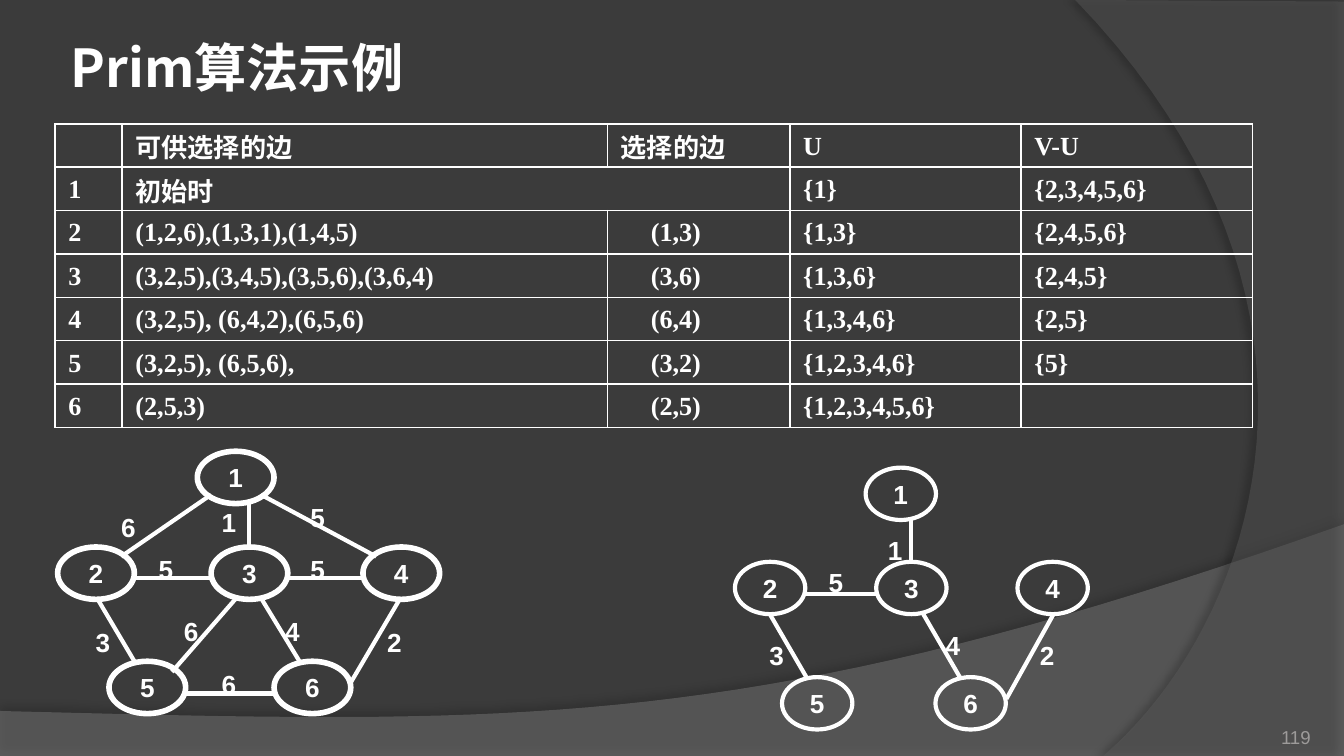
from lxml import etree
from pptx import Presentation
from pptx import util as u
from pptx.dml.color import RGBColor
from pptx.enum import shapes, text
from pptx.oxml.ns import qn

WHITE = RGBColor(0xFF, 0xFF, 0xFF)
CHARCOAL = RGBColor(0x3B, 0x3B, 0x3B)
WAVE_GREY = RGBColor(0x7F, 0x7F, 0x7F)
ARC_GREY = RGBColor(0x5E, 0x5E, 0x5E)
NUMBER_GREY = RGBColor(0x9D, 0x9B, 0x9A)

CJK = "Noto Sans CJK SC"
TITLE = dict(name=CJK, size=u.Pt(28), bold=True)
CELL = dict(name="Times New Roman", size=u.Pt(14), bold=True)
GRAPH = dict(name="Arial", size=u.Pt(14), bold=True)
NUMBER = dict(name="Arial", size=u.Pt(10), bold=False)


def bezier(start, control_1, control_2, end, steps=40):
    """Points along a cubic curve, without its start."""
    for i in range(1, steps + 1):
        t = i / steps
        weights = ((1 - t) ** 3, 3 * t * (1 - t) ** 2, 3 * t * t * (1 - t), t ** 3)
        yield tuple(sum(w * p[axis] for w, p in zip(weights, (start, control_1, control_2, end)))
                    for axis in (0, 1))


class SlideBuilder:
    """Holds the style and the current slide; places are in centimetres."""

    def __init__(self, slide, ink=WHITE):
        self.slide, self.shapes, self.ink = slide, slide.shapes, ink

    def set_text(self, frame, content, style, align=text.PP_ALIGN.LEFT, color=None):
        paragraph = frame.paragraphs[0]
        paragraph.alignment = align
        if not content:
            return
        run = paragraph.add_run()
        run.text = content
        for key, value in style.items():
            setattr(run.font, key, value)
        run.font.color.rgb = color or self.ink
        etree.SubElement(run.font._element, qn("a:ea"), typeface=CJK)

    def frame_format(self, frame, anchor, wrap=True, inset=(0.25, 0.13)):
        side, end = (u.Cm(v) for v in inset)
        layout = dict(word_wrap=wrap, vertical_anchor=anchor, margin_left=side,
                      margin_right=side, margin_top=end, margin_bottom=end)
        for key, value in layout.items():
            setattr(frame, key, value)

    def label(self, box, content, style, align=text.PP_ALIGN.LEFT,
              anchor=text.MSO_ANCHOR.TOP, color=None, inset=(0.25, 0.13)):
        frame = self.shapes.add_textbox(*map(u.Cm, box)).text_frame
        self.frame_format(frame, anchor, inset=inset)
        self.set_text(frame, content, style, align, color)

    def node(self, box, content, width):
        oval = self.shapes.add_shape(shapes.MSO_SHAPE.OVAL, *map(u.Cm, box))
        oval.shadow.inherit = False
        oval.fill.background()
        oval.line.color.rgb, oval.line.width = self.ink, u.Pt(width)
        self.frame_format(oval.text_frame, text.MSO_ANCHOR.MIDDLE, False, (0.13, 0.08))
        self.set_text(oval.text_frame, content, GRAPH, text.PP_ALIGN.CENTER)

    def edge(self, ends):
        line = self.shapes.add_connector(shapes.MSO_CONNECTOR.STRAIGHT, *map(u.Cm, ends))
        line.line.color.rgb, line.line.width = self.ink, u.Pt(2.25)
        etree.SubElement(line._element.spPr, qn("a:effectLst"))

    def backdrop(self, points, color, opacity, shadow):
        start, *rest = [(u.Cm(x), u.Cm(y)) for x, y in points]
        builder = self.shapes.build_freeform(*start)
        builder.add_line_segments(rest, close=True)
        area = builder.convert_to_shape()
        area.fill.solid()
        area.fill.fore_color.rgb = color
        area.line.fill.background()
        area.shadow.inherit = False
        properties = area._element.spPr
        fill = properties.find(qn("a:solidFill")).find(qn("a:srgbClr"))
        etree.SubElement(fill, qn("a:alpha"), val=str(opacity * 1000))
        shade, distance, angle = shadow
        outer = etree.SubElement(properties.find(qn("a:effectLst")), qn("a:outerShdw"),
                                 blurRad=str(int(u.Pt(4))), dist=str(int(u.Pt(distance))),
                                 dir=str(angle * 60000), algn="ctr", rotWithShape="0")
        black = etree.SubElement(outer, qn("a:srgbClr"), val="000000")
        etree.SubElement(black, qn("a:alpha"), val=str(shade * 1000))

    def borders(self, cell):
        properties = cell._tc.get_or_add_tcPr()
        for i, side in enumerate(("lnL", "lnR", "lnT", "lnB")):
            line = etree.Element(qn("a:" + side), w=str(int(u.Pt(1))))
            fill = etree.SubElement(line, qn("a:solidFill"))
            etree.SubElement(fill, qn("a:srgbClr"), val=str(self.ink))
            properties.insert(i, line)

    def table(self, left, top, widths, row_height, rows):
        grid = self.shapes.add_table(len(rows), len(widths), u.Cm(left), u.Cm(top),
                                     u.Cm(sum(widths)), u.Cm(row_height * len(rows))).table
        grid.first_row = grid.horz_banding = False
        for column, width in zip(grid.columns, widths):
            column.width = u.Cm(width)
        for r, row in enumerate(rows):
            grid.rows[r].height = u.Cm(row_height)
            for c, content in enumerate(row):
                cell = grid.cell(r, c)
                indent = 0.82 if c == 2 and r > 1 else 0.25
                layout = dict(margin_left=u.Cm(indent), margin_right=0, margin_top=u.Cm(0.03),
                              margin_bottom=0, vertical_anchor=text.MSO_ANCHOR.MIDDLE)
                for key, value in layout.items():
                    setattr(cell, key, value)
                cell.fill.background()
                self.borders(cell)
                cell.text_frame.paragraphs[0].font.size = CELL["size"]
                self.set_text(cell.text_frame, content, CELL)
        return grid

    def graph(self, nodes, size, outline, edges, label_size, inset):
        for number, place in nodes.items():
            self.node((*place, *size), str(number), outline)
        for _, ends, _ in edges:
            self.edge(ends)
        for weight, _, place in edges:
            self.label((*place, *label_size), str(weight), GRAPH,
                       text.PP_ALIGN.CENTER, inset=inset)


STEPS = [
    ("", "可供选择的边", "选择的边", "U", "V-U"),
    ("1", "初始时", "", "{1}", "{2,3,4,5,6}"),
    ("2", "(1,2,6),(1,3,1),(1,4,5)", "(1,3)", "{1,3}", "{2,4,5,6}"),
    ("3", "(3,2,5),(3,4,5),(3,5,6),(3,6,4)", "(3,6)", "{1,3,6}", "{2,4,5}"),
    ("4", "(3,2,5), (6,4,2),(6,5,6)", "(6,4)", "{1,3,4,6}", "{2,5}"),
    ("5", "(3,2,5), (6,5,6),", "(3,2)", "{1,2,3,4,6}", "{5}"),
    ("6", "(2,5,3)", "(2,5)", "{1,2,3,4,5,6}", ""),
]

# Nodes: number -> left, top. Edges: weight, line ends, label left and top.
FULL_NODES = {1: (3.73, 8.53), 2: (1.09, 10.34), 3: (3.99, 10.34),
              4: (6.86, 10.34), 5: (2.06, 12.5), 6: (5.18, 12.5)}
FULL_EDGES = [
    (6, (2.29, 10.52, 3.99, 9.35), (1.83, 9.53)),
    (1, (4.7, 9.53, 4.7, 10.34), (3.73, 9.45)),
    (5, (7.11, 10.52, 4.93, 9.35), (5.41, 9.35)),
    (5, (2.54, 10.92, 3.99, 10.92), (2.54, 10.34)),
    (5, (5.41, 10.92, 6.86, 10.92), (5.41, 10.34)),
    (3, (1.83, 11.3, 2.54, 12.5), (1.35, 11.71)),
    (6, (3.25, 12.7, 4.47, 11.3), (3.02, 11.51)),
    (4, (4.93, 11.3, 5.66, 12.5), (4.93, 11.51)),
    (2, (6.63, 12.9, 7.57, 11.3), (6.86, 11.71)),
    (6, (3.51, 13.11, 5.18, 13.11), (3.73, 12.5)),
]
TREE_NODES = {1: (16.36, 8.84), 2: (13.89, 10.62), 3: (16.56, 10.62),
              4: (19.23, 10.62), 5: (14.78, 12.8), 6: (17.68, 12.8)}
TREE_EDGES = [
    (1, (17.22, 9.83, 17.22, 10.62), (16.36, 10.03)),
    (5, (15.24, 11.23, 16.56, 11.23), (15.24, 10.62)),
    (3, (14.55, 11.61, 15.24, 12.8), (14.12, 12.01)),
    (4, (17.45, 11.61, 18.14, 12.8), (17.45, 11.81)),
    (2, (19.02, 13.21, 19.91, 11.61), (19.23, 12.01)),
]


def main():
    deck = Presentation()
    deck.slide_width, deck.slide_height = u.Cm(25.4), u.Cm(14.29)
    page = SlideBuilder(deck.slides.add_slide(deck.slide_layouts[6]))

    # Background with wave and arc
    page.slide.background.fill.solid()
    page.slide.background.fill.fore_color.rgb = CHARCOAL
    wave = [(0, 13.44), (0, 14.29), (25.4, 14.29), (25.4, 9.91)]
    wave += bezier(wave[-1], (14.2, 13.89), (9.93, 13.69), wave[0])
    page.backdrop(wave, WAVE_GREY, 45, (35, 3.5, 270))
    arc = [(25.4, 0.03), (25.4, 14.29), (20.85, 14.29)]
    arc += bezier(arc[-1], (23.75, 11.79), (25.86, 5.72), (20.32, 0))
    page.backdrop(arc, ARC_GREY, 40, (45, 4, 180))

    # Title and page number
    page.label((1.09, 0.53, 11.2, 1.45), "Prim算法示例", TITLE, anchor=text.MSO_ANCHOR.MIDDLE)
    page.label((22.66, 13.39, 2.11, 0.76), "119", NUMBER, text.PP_ALIGN.RIGHT,
               text.MSO_ANCHOR.BOTTOM, NUMBER_GREY, (0, 0))

    # Steps of the algorithm
    steps = page.table(1.04, 2.34, (1.27, 9.17, 3.45, 4.37, 4.37), 0.82, STEPS)
    steps.cell(1, 1).merge(steps.cell(1, 2))

    # Weighted graph and its minimum spanning tree
    page.graph(FULL_NODES, (1.45, 0.99), 3, FULL_EDGES, (1.19, 0.86), (0.25, 0.13))
    page.graph(TREE_NODES, (1.33, 0.99), 2.25, TREE_EDGES, (1.12, 0.84), (0.13, 0.08))

    deck.save("out.pptx")


if __name__ == "__main__":
    main()
